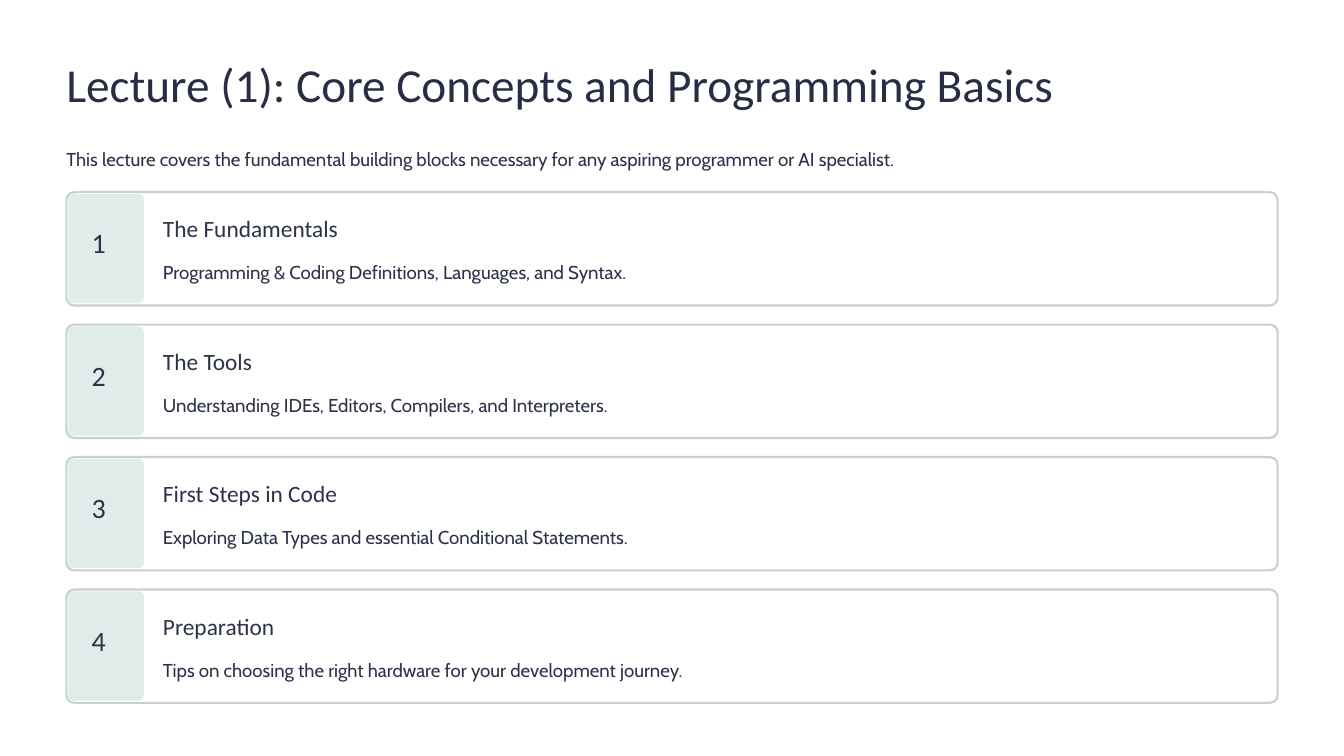
import pptx
import pptx.util
import pptx.dml.color
import pptx.enum.shapes

RGBColor = pptx.dml.color.RGBColor
NAVY = RGBColor(0x27, 0x2D, 0x45)
INK = RGBColor(0x2C, 0x32, 0x49)
SAGE = RGBColor(0xC5, 0xD2, 0xCF)
MINT = RGBColor(0xDF, 0xEC, 0xE9)
WHITE = RGBColor(0xFF, 0xFF, 0xFF)

COLS, ROWS = 160, 90
MARGIN = 7.9
CONTENT_WIDTH = COLS - 2 * MARGIN
CARD_TOP, CARD_HEIGHT, CARD_PITCH = 22.87, 13.5, 15.77

TOPICS = [
    ("The Fundamentals", "Programming & Coding Definitions, Languages, and Syntax."),
    ("The Tools", "Understanding IDEs, Editors, Compilers, and Interpreters."),
    ("First Steps in Code", "Exploring Data Types and essential Conditional Statements."),
    ("Preparation", "Tips on choosing the right hardware for your development journey."),
]


class Deck:
    heading_font = "Calibri"
    body_font = "Cabin"

    def __init__(self):
        self.prs = pptx.Presentation()
        self.prs.slide_width = pptx.util.Inches(16)
        self.prs.slide_height = pptx.util.Inches(9)
        self.s = self.prs.slides.add_slide(self.prs.slide_layouts[6])

    def box(self, col, row, cols, rows):
        w, h = self.prs.slide_width / COLS, self.prs.slide_height / ROWS
        return round(col * w), round(row * h), round(cols * w), round(rows * h)

    def text(self, text, place, size, spacing, font, color=INK):
        tf = self.s.shapes.add_textbox(*self.box(*place)).text_frame
        tf.margin_left = tf.margin_top = tf.margin_right = tf.margin_bottom = 0
        tf.word_wrap = False
        p = tf.paragraphs[0]
        p.text = text
        p.line_spacing = pptx.util.Pt(spacing)
        r = p.runs[0]
        r.font.name = font
        r.font.size = pptx.util.Pt(size)
        r.font.color.rgb = color

    def heading(self, text, place, size, spacing, color=INK):
        self.text(text, place, size, spacing, self.heading_font, color)

    def body(self, text, place):
        self.text(text, place, 16, 25.5, self.body_font)

    def panel(self, place, fill, line=None):
        sp = self.s.shapes.add_shape(
            pptx.enum.shapes.MSO_SHAPE.ROUNDED_RECTANGLE, *self.box(*place))
        sp.shadow.inherit = False
        sp.adjustments[0] = 0.07
        sp.fill.solid()
        sp.fill.fore_color.rgb = fill
        if line is None:
            sp.line.fill.background()
        else:
            sp.line.color.rgb = line
            sp.line.width = pptx.util.Pt(1.8)

    def card(self, number, title, detail, top):
        self.panel((MARGIN, top, CONTENT_WIDTH, CARD_HEIGHT), WHITE, SAGE)
        self.panel((MARGIN + 0.23, top + 0.23, 9, 13), MINT)
        self.heading(str(number), (10.9, top + 4.65, 3.4, 4.2), 24, 24)
        self.heading(title, (19.4, top + 2.5, 28.1, 3.5), 20, 25)
        self.body(detail, (19.4, top + 7.35, 132.5, 3.6))


def main():
    deck = Deck()
    deck.heading("Lecture (1): Core Concepts and Programming Basics",
                 (MARGIN, 6.3, 125.3, 7), 40.5, 50.5, NAVY)
    deck.body("This lecture covers the fundamental building blocks necessary "
              "for any aspiring programmer or AI specialist.",
              (MARGIN, 16.7, CONTENT_WIDTH, 3.6))
    for i, (title, detail) in enumerate(TOPICS):
        deck.card(i + 1, title, detail, CARD_TOP + i * CARD_PITCH)
    deck.prs.save("out.pptx")


if __name__ == "__main__":
    main()
